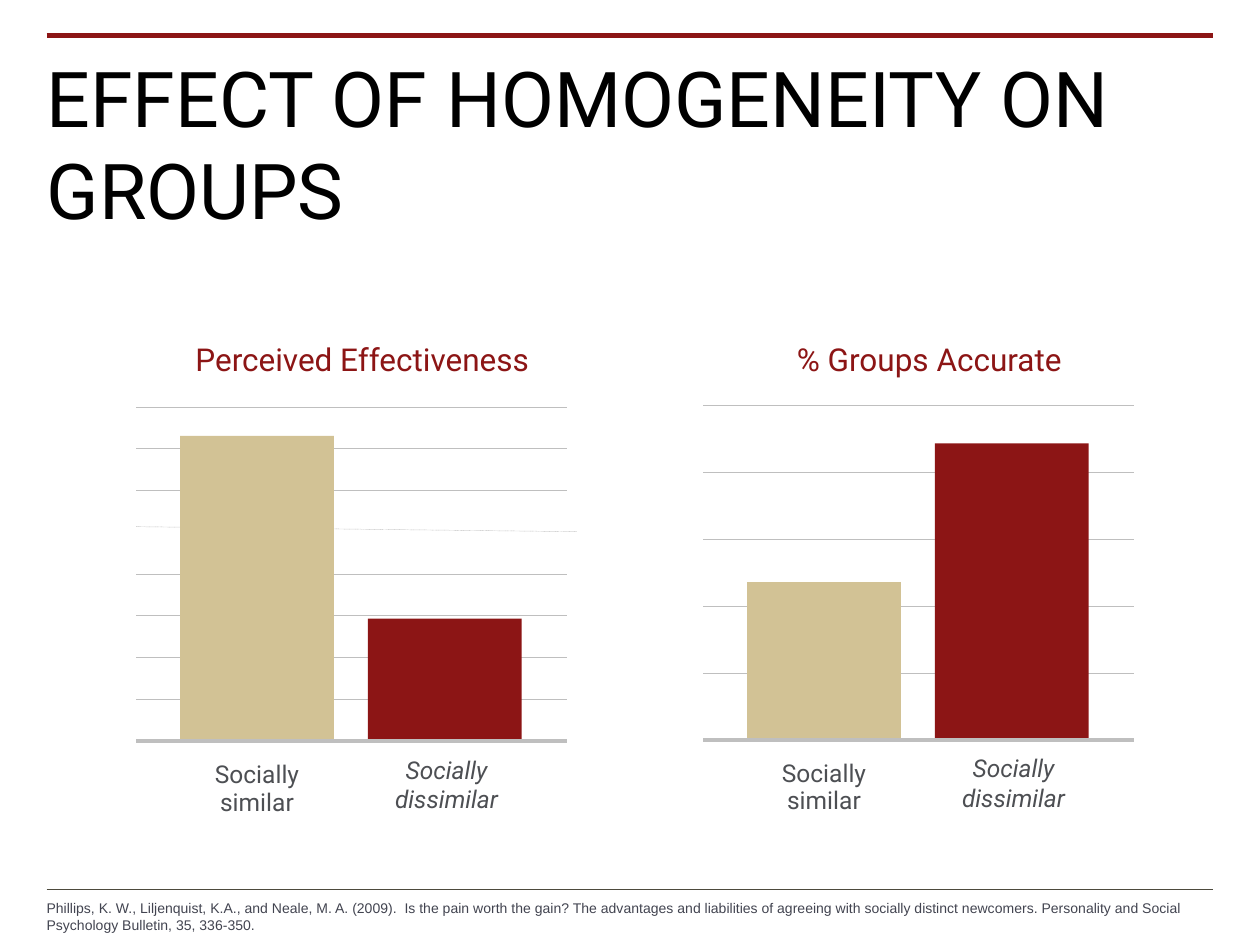
import pptx
import pptx.util
import pptx.dml.color
import pptx.enum.dml
import pptx.enum.shapes
import pptx.enum.text
from dataclasses import dataclass
from lxml import etree

Inches = pptx.util.Inches
Pt = pptx.util.Pt
RGB = pptx.dml.color.RGBColor.from_string
Align = pptx.enum.text.PP_ALIGN


@dataclass(frozen=True)
class Theme:
    red: str = "8C1515"
    sand: str = "D2C295"
    rule: str = "4D4A3D"
    grid: str = "BFBFBF"
    black: str = "000000"
    label: str = "4D4F53"
    source: str = "424450"
    font: str = "Roboto"
    source_font: str = "Arial"
    title_size: int = 44
    heading_size: int = 18
    label_size: int = 14
    source_size: int = 8


theme = Theme()
presentation = pptx.Presentation()
presentation.slide_width = Inches(10)
presentation.slide_height = Inches(7.5)
slide = presentation.slides.add_slide(presentation.slide_layouts[5])


def add_line(x1, y1, x2, y2, color, width, dotted=False):
    line = slide.shapes.add_connector(
        pptx.enum.shapes.MSO_CONNECTOR.STRAIGHT,
        Inches(x1), Inches(y1), Inches(x2), Inches(y2))
    line.line.color.rgb = RGB(color)
    line.line.width = Pt(width)
    if dotted:
        line.line.dash_style = pptx.enum.dml.MSO_LINE.ROUND_DOT
    etree.SubElement(line._element.spPr, pptx.oxml.ns.qn("a:effectLst"))


def add_text(text, box, size, color, font=theme.font, align=Align.CENTER,
             insets=(0.1, 0.05), spacing=1.0, after=0, italic=False):
    """Add a one-paragraph text box; insets are (sides, top and bottom)."""
    frame = slide.shapes.add_textbox(*map(Inches, box)).text_frame
    frame.word_wrap = True
    frame.margin_left = frame.margin_right = Inches(insets[0])
    frame.margin_top = frame.margin_bottom = Inches(insets[1])
    paragraph = frame.paragraphs[0]
    paragraph.text = text
    paragraph.alignment = align
    paragraph.line_spacing = spacing
    paragraph.space_after = Pt(after)
    paragraph.font.name = font
    paragraph.font.size = Pt(size)
    paragraph.font.color.rgb = RGB(color)
    paragraph.font.italic = italic
    return paragraph


# Page rules and title
add_line(0.37, 0.28, 9.63, 0.28, theme.red, 3)
add_line(0.37, 7.06, 9.63, 7.06, theme.rule, 0.25)

title = slide.shapes.title
title.left, title.top, title.width, title.height = map(Inches, (0.37, 0.34, 9.26, 0.44))
title_frame = title.text_frame
title_frame.word_wrap = True
title_frame.auto_size = pptx.enum.text.MSO_AUTO_SIZE.NONE
title_frame.vertical_anchor = pptx.enum.text.MSO_ANCHOR.TOP
title_frame.margin_left = title_frame.margin_right = 0
title_frame.margin_top = title_frame.margin_bottom = Inches(0.06)
title_line = title_frame.paragraphs[0]
title_line.text = "EFFECT OF HOMOGENEITY ON GROUPS"
title_line.alignment = Align.LEFT
title_line.font.name = theme.font
title_line.font.size = Pt(theme.title_size)
title_line.font.color.rgb = RGB(theme.black)

# Two bar panels: heading, left edge, axis height, grid top, grid lines,
# slanted grid line, bar tops
panels = [
    ("Perceived Effectiveness", 1.08, 5.88, 3.23, 8, 3, (3.46, 4.91)),
    ("% Groups Accurate", 5.58, 5.87, 3.22, 5, None, (4.62, 3.52)),
]
panel_width, bar_width, bar_base = 3.42, 1.22, 5.88
bar_offsets = (0.35, 1.84)

for heading, left, axis, grid_top, grid_count, slanted, bar_tops in panels:
    right = left + panel_width
    step = (axis - grid_top) / grid_count
    for index in range(grid_count):
        y = grid_top + index * step
        if index == slanted:
            add_line(left, 4.18, right + 0.08, 4.22, theme.grid, 0.25, dotted=True)
        else:
            add_line(left, y, right, y, theme.grid, 0.25, dotted=True)

    for offset, top, color in zip(bar_offsets, bar_tops, (theme.sand, theme.red)):
        bar = slide.shapes.add_shape(
            pptx.enum.shapes.MSO_SHAPE.RECTANGLE, Inches(left + offset),
            Inches(top), Inches(bar_width), Inches(bar_base - top))
        bar.shadow.inherit = False
        bar.fill.solid()
        bar.fill.fore_color.rgb = RGB(color)
        bar.line.fill.background()
    add_line(left, axis, right, axis, theme.grid, 2.25)

    heading_line = add_text(heading, (left, 2.67, panel_width, 0.42),
                            theme.heading_size, theme.red, spacing=0.95, after=7.2)
    heading_line._p.get_or_add_pPr().set("marL", str(Inches(0.17)))
    label_top = axis + 0.11
    add_text("Socially similar", (left + 0.35, label_top, 1.22, 0.61),
             theme.label_size, theme.label, spacing=0.95, after=7.2)
    add_text("Socially dissimilar", (left + 1.85, label_top, 1.23, 0.61),
             theme.label_size, theme.label, insets=(0, 0), after=6, italic=True)

add_text("Phillips, K. W., Liljenquist, K.A., and Neale, M. A. (2009).  Is the pain "
         "worth the gain? The advantages and liabilities of agreeing with socially "
         "distinct newcomers. Personality and Social Psychology Bulletin, 35, 336-350.",
         (0.37, 7.14, 9.26, 0.27), theme.source_size, theme.source,
         font=theme.source_font, align=Align.LEFT, insets=(0, 0), after=2.3)

presentation.save("out.pptx")
